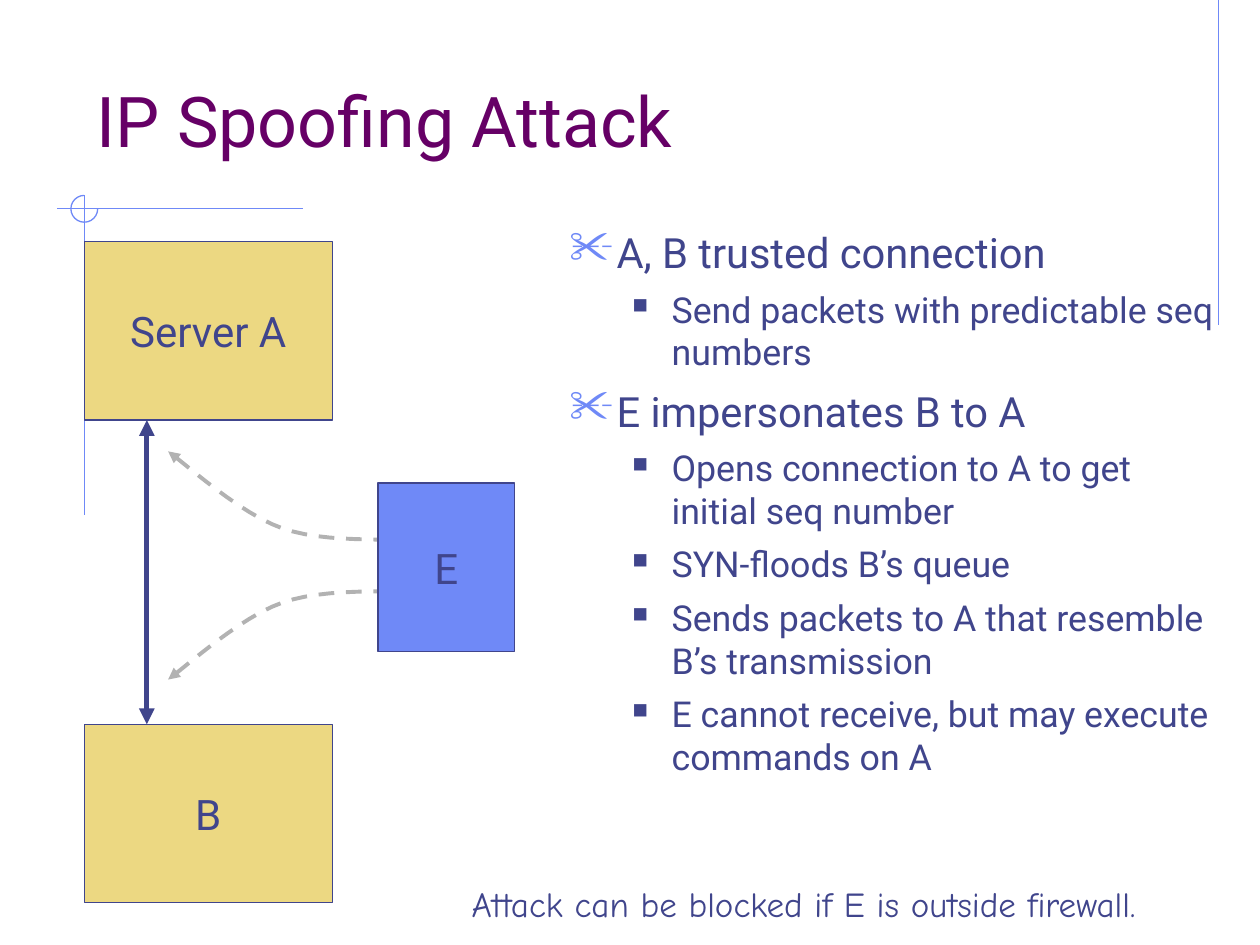
from dataclasses import dataclass

import lxml.etree
import pptx
import pptx.dml.color
import pptx.enum.dml
import pptx.enum.shapes
import pptx.enum.text
import pptx.oxml.ns
import pptx.util

Cm = pptx.util.Cm
Pt = pptx.util.Pt
RGBColor = pptx.dml.color.RGBColor
Shape = pptx.enum.shapes.MSO_SHAPE
Anchor = pptx.enum.text.MSO_ANCHOR
Align = pptx.enum.text.PP_ALIGN

NAVY = RGBColor(0x40, 0x45, 0x8C)
BLUE = RGBColor(0x6F, 0x89, 0xF7)
SAND = RGBColor(0xEC, 0xD8, 0x82)
PLUM = RGBColor(0x66, 0x00, 0x66)
GREY = RGBColor(0xB2, 0xB2, 0xB2)
SANS = "Roboto"
HAND = "Comic Neue"


@dataclass
class Host:
    name: str
    left: float
    top: float
    width: float
    height: float
    fill: RGBColor


@dataclass
class Level:
    size: float
    space: float
    margin: float
    hang: float
    mark: str
    scale: int
    color: RGBColor


@dataclass
class Point:
    level: Level
    text: str


HOSTS = [
    Host("Server A", 1.7, 4.87, 5, 3.6, SAND),
    Host("B", 1.7, 14.6, 5, 3.6, SAND),
    Host("E", 7.62, 9.74, 2.75, 3.39, BLUE),
]
MAIN = Level(23.8, 7, 0.95, 0.95, "✂", 110, BLUE)
SUB = Level(20.4, 6, 2.06, 0.79, "■", 60, NAVY)
POINTS = [
    Point(MAIN, "A, B trusted connection"),
    Point(SUB, "Send packets with predictable seq numbers"),
    Point(MAIN, "E impersonates B to A"),
    Point(SUB, "Opens connection to A to get initial seq number"),
    Point(SUB, "SYN-floods B’s queue"),
    Point(SUB, "Sends packets to A that resemble B’s transmission"),
    Point(SUB, "E cannot receive, but may execute commands on A"),
]
# Two Bezier pieces from the upper arrow tip to host E
BENDS = [
    [(3.39, 9.1), (3.76, 9.37), (4.85, 10.36), (5.69, 10.65)],
    [(5.69, 10.65), (6.53, 10.95), (7.85, 10.85), (8.41, 10.9)],
]
AXIS = 11.4
STEPS = 12


def add_tag(node, name: str, **attrs: str):
    return lxml.etree.SubElement(node, pptx.oxml.ns.qn(name), attrs)


def add_run(para, text: str, size: float, color: RGBColor, face: str = SANS) -> None:
    run = para.add_run()
    run.text = text
    run.font.size = Pt(size)
    run.font.name = face
    run.font.color.rgb = color


def add_box(slide, left: float, top: float, width: float, height: float):
    box = slide.shapes.add_textbox(Cm(left), Cm(top), Cm(width), Cm(height))
    box.text_frame.word_wrap = True
    return box.text_frame


def add_line(slide, x1: float, y1: float, x2: float, y2: float,
             color: RGBColor, width: float):
    line = slide.shapes.add_connector(
        pptx.enum.shapes.MSO_CONNECTOR.STRAIGHT, Cm(x1), Cm(y1), Cm(x2), Cm(y2))
    line.line.color.rgb = color
    line.line.width = Pt(width)
    add_tag(line._element.spPr, "a:effectLst")
    return line


def add_tips(shape, *ends: str) -> None:
    outline = shape.line._get_or_add_ln()
    for end in ends:
        add_tag(outline, end, type="triangle")


def add_host(slide, host: Host) -> None:
    box = slide.shapes.add_shape(
        Shape.RECTANGLE, Cm(host.left), Cm(host.top), Cm(host.width), Cm(host.height))
    box.shadow.inherit = False
    box.fill.solid()
    box.fill.fore_color.rgb = host.fill
    box.line.color.rgb = NAVY
    box.line.width = Pt(0.75)
    frame = box.text_frame
    frame.vertical_anchor = Anchor.MIDDLE
    frame.paragraphs[0].alignment = Align.CENTER
    add_run(frame.paragraphs[0], host.name, 24, NAVY)


def add_point(para, point: Point, first: bool) -> None:
    level = point.level
    props = para._p.get_or_add_pPr()
    props.set("marL", str(Cm(level.margin)))
    props.set("indent", str(-Cm(level.hang)))
    tint = add_tag(props, "a:buClr")
    add_tag(tint, "a:srgbClr", val=str(level.color))
    add_tag(props, "a:buSzPct", val=str(level.scale * 1000))
    add_tag(props, "a:buChar", char=level.mark)
    para.space_before = Pt(0 if first else level.space)
    add_run(para, point.text, level.size, NAVY)


def find_spot(bend: list, t: float) -> tuple[float, float]:
    parts = ((1 - t) ** 3, 3 * t * (1 - t) ** 2, 3 * t ** 2 * (1 - t), t ** 3)
    return (sum(w * x for w, (x, _) in zip(parts, bend)),
            sum(w * y for w, (_, y) in zip(parts, bend)))


def add_curve(slide, flip: bool) -> None:
    spots = [BENDS[0][0]]
    spots += [find_spot(bend, i / STEPS) for bend in BENDS for i in range(1, STEPS + 1)]
    if flip:
        spots = [(x, 2 * AXIS - y) for x, y in spots]
    dots = [(Cm(x), Cm(y)) for x, y in spots]
    build = slide.shapes.build_freeform(*dots[0])
    build.add_line_segments(dots[1:], close=False)
    curve = build.convert_to_shape()
    curve.shadow.inherit = False
    curve.fill.background()
    curve.line.color.rgb = GREY
    curve.line.width = Pt(2.25)
    curve.line.dash_style = pptx.enum.dml.MSO_LINE.DASH
    add_tips(curve, "a:headEnd")


def main() -> None:
    deck = pptx.Presentation()
    deck.slide_width, deck.slide_height = Cm(25.4), Cm(19.05)
    slide = deck.slides.add_slide(deck.slide_layouts[6])

    # Thin rules and the three-quarter ring where they cross
    for ends in [(24.56, 0, 24.56, 6.55), (6.1, 4.21, 1.14, 4.21), (1.7, 3.94, 1.7, 10.39)]:
        add_line(slide, *ends, BLUE, 0.75)
    ring = slide.shapes.add_shape(Shape.ARC, Cm(1.43), Cm(3.94), Cm(0.54), Cm(0.54))
    ring.adjustments[0], ring.adjustments[1] = 0, 162
    ring.shadow.inherit = False
    ring.fill.background()
    ring.line.color.rgb = BLUE
    ring.line.width = Pt(0.75)

    # Title
    title = add_box(slide, 1.7, 0.84, 21.59, 2.54)
    title.vertical_anchor = Anchor.BOTTOM
    add_run(title.paragraphs[0], "IP Spoofing Attack", 40, PLUM)

    # Bullet list
    body = add_box(slide, 11.23, 4.45, 13.59, 12.4)
    for i, point in enumerate(POINTS):
        para = body.add_paragraph() if i else body.paragraphs[0]
        add_point(para, point, i == 0)

    # Trusted link, spoofed packets and hosts
    link = add_line(slide, 2.96, 8.47, 2.96, 14.6, NAVY, 3)
    add_tips(link, "a:headEnd", "a:tailEnd")
    for flip in (False, True):
        add_curve(slide, flip)
    for host in HOSTS:
        add_host(slide, host)

    # Closing remark
    note = add_box(slide, 9.22, 17.65, 13.97, 1.12)
    note.word_wrap = False
    note.vertical_anchor = Anchor.MIDDLE
    note.paragraphs[0].alignment = Align.CENTER
    add_run(note.paragraphs[0], "Attack can be blocked if E is outside firewall.", 20, NAVY, HAND)

    deck.save("out.pptx")


if __name__ == "__main__":
    main()
